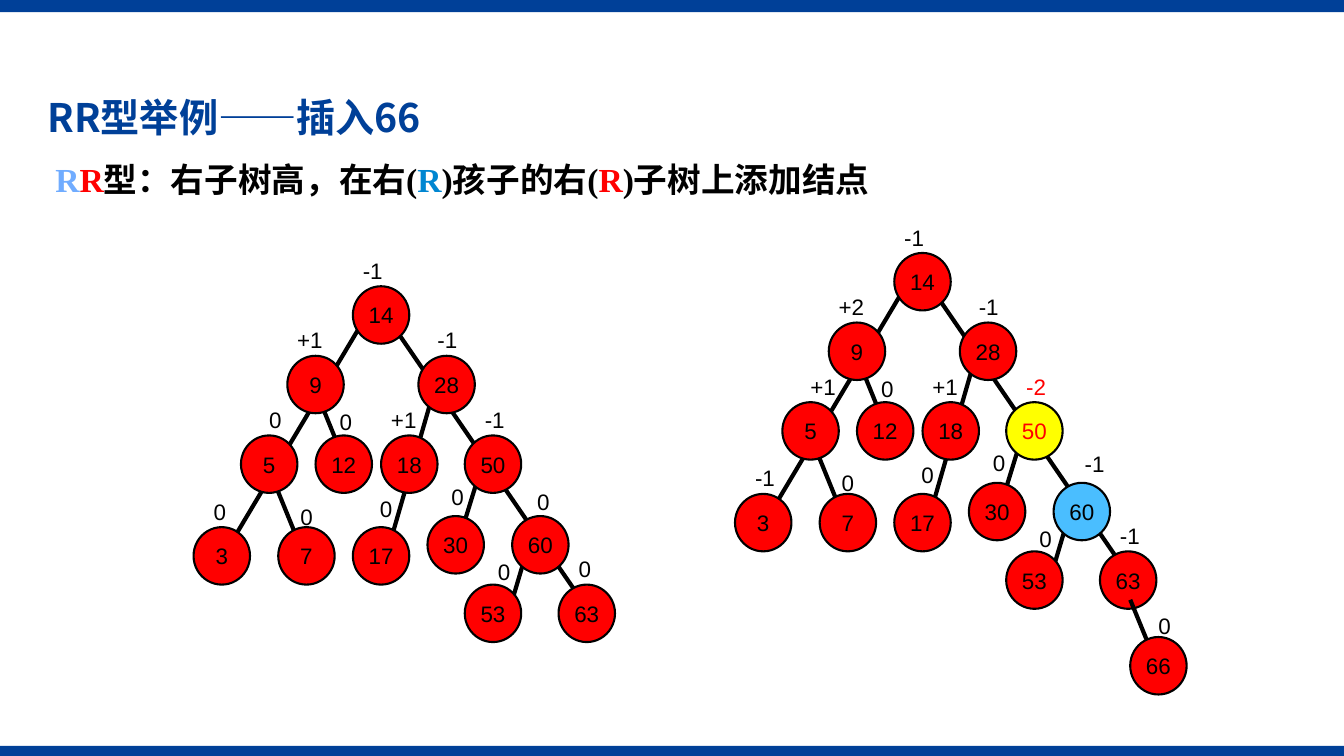
from dataclasses import dataclass, replace

from pptx import Presentation, util as u
from pptx.dml.color import RGBColor
from pptx.enum import lang, shapes, text
from pptx.oxml import ns, xmlchemy

PX = 9144  # EMU per px, 100 px to the inch
SLIDE_W, SLIDE_H = 1333, 750
NODE_W, NODE_H = 56, 57
BALANCE_W, BALANCE_H = 46, 37


@dataclass(frozen=True)
class Theme:
    bar: str = "004098"
    black: str = "000000"
    red: str = "FF0000"
    yellow: str = "FFFF00"
    sky: str = "4ABEFF"
    pale_blue: str = "70ACFF"
    blue: str = "0086D1"
    title_font: str = "Noto Sans CJK SC"
    rule_font: str = "Times New Roman"
    tree_font: str = "Arial"
    title_pt: float = 28
    rule_pt: float = 24
    tree_pt: float = 16
    outline_pt: float = 1.5
    branch_pt: float = 3


THEME = Theme()


@dataclass(frozen=True)
class Node:
    key: int
    left: int
    top: int
    balance: str
    balance_left: int
    balance_top: int
    fill: str = THEME.red
    key_ink: str = THEME.black
    balance_ink: str = THEME.black


@dataclass(frozen=True)
class Branch:
    """A straight line that may run behind several nodes."""
    x1: int
    y1: int
    x2: int
    y2: int


@dataclass(frozen=True)
class Tree:
    dx: int
    dy: int
    nodes: tuple[Node, ...]
    new_branches: tuple[Branch, ...] = ()


BRANCHES = (
    Branch(480, 455, 452, 546),
    Branch(526, 535, 499, 626),
    Branch(313, 387, 350, 478),
    Branch(267, 466, 304, 557),
    Branch(434, 375, 378, 569),
    Branch(387, 319, 582, 603),
    Branch(360, 319, 211, 569),
)

NODES_BEFORE = (
    Node(14, 350, 284, "-1", 350, 250),
    Node(12, 313, 432, "0", 327, 400),
    Node(5, 239, 432, "0", 257, 398),
    Node(3, 192, 523, "0", 202, 489),
    Node(9, 285, 353, "+1", 285, 319),
    Node(28, 415, 353, "-1", 424, 319),
    Node(63, 554, 580, "0", 564, 546),
    Node(53, 461, 580, "0", 484, 549),
    Node(60, 508, 512, "0", 523, 479),
    Node(50, 461, 432, "-1", 471, 398),
    Node(17, 350, 523, "0", 367, 486),
    Node(18, 378, 432, "+1", 378, 398),
    Node(7, 276, 523, "0", 288, 494),
    Node(30, 424, 512, "0", 438, 474),
)

CHANGES = {
    3: {"balance": "-1"},
    5: {"balance": "+1"},
    9: {"balance": "+2"},
    50: {"balance": "-2", "fill": THEME.yellow,
         "key_ink": THEME.red, "balance_ink": THEME.red},
    60: {"balance": "-1", "fill": THEME.sky,
         "balance_left": 529, "balance_top": 475},
    63: {"balance": "-1"},
}
NODES_AFTER = tuple(replace(n, **CHANGES.get(n.key, {})) for n in NODES_BEFORE) + (
    Node(66, 584, 665, "0", 602, 635),
)

TREES = (
    Tree(0, 0, NODES_BEFORE),
    Tree(537, -33, NODES_AFTER, (Branch(584, 628, 600, 667),)),
)

RULE = (
    ("R", THEME.pale_blue),
    ("R", THEME.red),
    ("型：右子树高，在右(", THEME.black),
    ("R", THEME.blue),
    (")孩子的右(", THEME.black),
    ("R", THEME.red),
    (")子树上添加结点", THEME.black),
)


def px(*lengths: int) -> list[u.Emu]:
    return [u.Emu(length * PX) for length in lengths]


def rgb(colour: str) -> RGBColor:
    return RGBColor.from_string(colour)


def style(font, name: str, size: float, colour: str | None = None, bold: bool = False) -> None:
    font.name, font.size, font.bold = name, u.Pt(size), bold
    if colour:
        font.color.rgb = rgb(colour)


def draw_bar(slide, top: int, height: int) -> None:
    bar = slide.shapes.add_shape(shapes.MSO_SHAPE.RECTANGLE, *px(0, top, SLIDE_W, height))
    bar.shadow.inherit = False
    bar.fill.solid()
    bar.fill.fore_color.rgb = rgb(THEME.bar)
    bar.line.fill.background()


def draw_title(slide) -> None:
    title = slide.shapes.title
    title.left, title.top, title.width, title.height = px(37, 60, 850, 118)
    frame = title.text_frame
    frame.text = "RR型举例——插入66"
    frame.auto_size = text.MSO_AUTO_SIZE.NONE
    frame.vertical_anchor = text.MSO_ANCHOR.MIDDLE
    heading = frame.paragraphs[0]
    heading.alignment = text.PP_ALIGN.LEFT
    heading.line_spacing = 0.9
    style(heading.font, THEME.title_font, THEME.title_pt, THEME.bar, bold=True)
    heading.font.language_id = lang.MSO_LANGUAGE_ID.SIMPLIFIED_CHINESE


def draw_rule(slide) -> None:
    frame = slide.shapes.add_textbox(*px(45, 153, 976, 50)).text_frame
    frame.word_wrap = True
    sentence = frame.paragraphs[0]
    style(sentence.font, THEME.rule_font, THEME.rule_pt, bold=True)
    sentence.font.language_id = lang.MSO_LANGUAGE_ID.SIMPLIFIED_CHINESE
    for words, colour in RULE:
        part = sentence.add_run()
        part.text = words
        part.font.color.rgb = rgb(colour)


def draw_branch(group, branch: Branch, dx: int, dy: int) -> None:
    line = group.shapes.add_connector(
        shapes.MSO_CONNECTOR.STRAIGHT,
        *px(branch.x1 + dx, branch.y1 + dy, branch.x2 + dx, branch.y2 + dy))
    line.line.color.rgb = rgb(THEME.black)
    line.line.width = u.Pt(THEME.branch_pt)
    line._element.spPr.append(xmlchemy.OxmlElement("a:effectLst"))


def draw_node(group, node: Node, dx: int, dy: int) -> None:
    circle = group.shapes.add_shape(
        shapes.MSO_SHAPE.OVAL, *px(node.left + dx, node.top + dy, NODE_W, NODE_H))
    circle.shadow.inherit = False
    circle.fill.solid()
    circle.fill.fore_color.rgb = rgb(node.fill)
    circle.line.color.rgb = rgb(THEME.black)
    circle.line.width = u.Pt(THEME.outline_pt)
    frame = circle.text_frame
    frame.text = str(node.key)
    frame.word_wrap = False
    frame.vertical_anchor = text.MSO_ANCHOR.MIDDLE
    key = frame.paragraphs[0]
    key.alignment = text.PP_ALIGN.CENTER
    style(key.font, THEME.tree_font, THEME.tree_pt, node.key_ink)


def draw_balance(group, node: Node, dx: int, dy: int) -> None:
    frame = group.shapes.add_textbox(
        *px(node.balance_left + dx, node.balance_top + dy, BALANCE_W, BALANCE_H)).text_frame
    frame.text = node.balance
    frame.word_wrap = True
    style(frame.paragraphs[0].font, THEME.tree_font, THEME.tree_pt, node.balance_ink)


def draw_tree(slide, tree: Tree) -> None:
    group = slide.shapes.add_group_shape()
    for branch in BRANCHES:
        draw_branch(group, branch, tree.dx, tree.dy)
    for node in tree.nodes:
        draw_node(group, node, tree.dx, tree.dy)
    for branch in tree.new_branches:
        draw_branch(group, branch, tree.dx, tree.dy)
    for node in tree.nodes:
        draw_balance(group, node, tree.dx, tree.dy)


def main() -> None:
    deck = Presentation()
    deck.slide_width, deck.slide_height = px(SLIDE_W, SLIDE_H)
    slide = deck.slides.add_slide(deck.slide_layouts.get_by_name("Title Only"))
    draw_bar(slide, 740, 10)
    draw_bar(slide, 0, 12)
    draw_title(slide)
    draw_rule(slide)
    for tree in TREES:
        draw_tree(slide, tree)
    deck.save("out.pptx")


if __name__ == "__main__":
    main()
